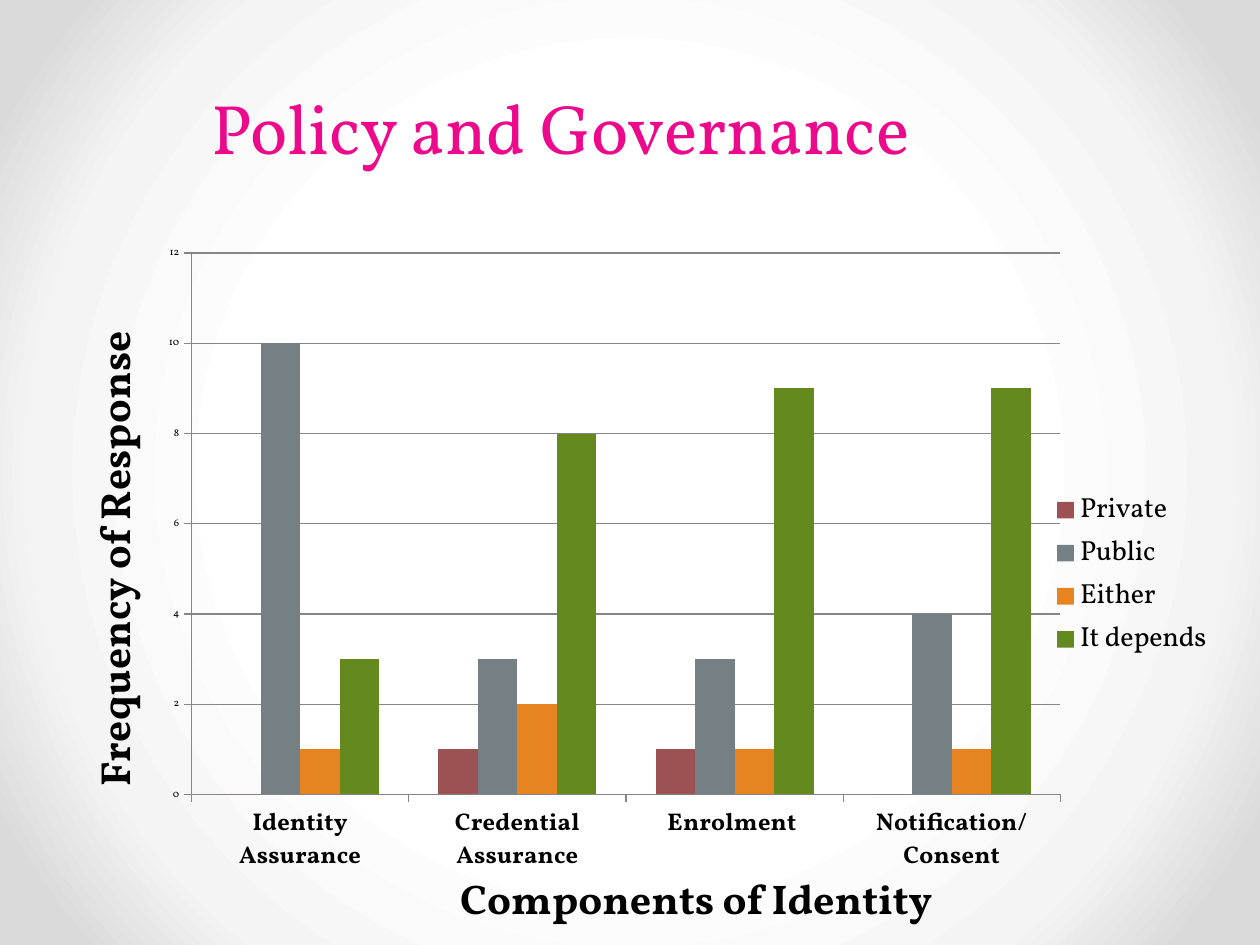
from lxml import etree
from pptx import Presentation
from pptx.chart.data import CategoryChartData
from pptx.dml.color import RGBColor
from pptx.enum.chart import XL_CHART_TYPE, XL_LEGEND_POSITION, XL_TICK_MARK
from pptx.enum.text import MSO_ANCHOR, MSO_AUTO_SIZE, PP_ALIGN
from pptx.oxml import parse_xml
from pptx.oxml.ns import nsdecls, qn
from pptx.util import Inches, Pt

COLUMNS = XL_CHART_TYPE.COLUMN_CLUSTERED
LEGEND_RIGHT = XL_LEGEND_POSITION.RIGHT
TICK_OUTSIDE = XL_TICK_MARK.OUTSIDE
TITLE_ONLY_LAYOUT = 5

COLORS = {
    "title": "EC098C",
    "text": "000000",
    "line": "868686",
    "Private": "9C5252",
    "Public ": "758085",
    "Either": "E68422",
    "It depends": "63891F",
}
BACKGROUND_STOPS = [(50, "FFFFFF"), (76, "F4F4F4"), (92, "DADADA")]
CATEGORIES = ["Identity Assurance", "Credential Assurance", "Enrolment ", "Notification/Consent"]
RESPONSES = {
    "Private": (0, 1, 1, 0),
    "Public ": (10, 3, 3, 4),
    "Either": (1, 2, 1, 1),
    "It depends": (3, 8, 9, 9),
}


def color(name):
    return RGBColor.from_string(COLORS[name])


def set_manual_layout(element, index, **fractions):
    """Place a chart part by fractions of the chart area (x, y, w, h)."""
    for old_layout in element.findall(qn("c:layout")):
        element.remove(old_layout)
    layout = parse_xml(f"<c:layout {nsdecls('c')}><c:manualLayout/></c:layout>")
    settings = {"xMode": "edge", "yMode": "edge", **fractions}
    if "w" in fractions:
        settings = {"layoutTarget": "inner", **settings}
    for name, value in settings.items():
        etree.SubElement(layout[0], qn(f"c:{name}")).set("val", str(value))
    element.insert(index, layout)


class SlideBuilder:
    font_name = "Vollkorn"

    def __init__(self, presentation):
        self.slide = presentation.slides.add_slide(presentation.slide_layouts[TITLE_ONLY_LAYOUT])

    def style_font(self, font, size, bold=False, color_name="text"):
        font.name = self.font_name
        font.size = Pt(size)
        font.bold = bold
        font.color.rgb = color(color_name)

    def set_background(self, stops):
        self.slide.background.fill.gradient()
        gradient = self.slide.element.find(f".//{qn('a:gradFill')}")
        for child in list(gradient):
            gradient.remove(child)
        stop_list = etree.SubElement(gradient, qn("a:gsLst"))
        for position, hex_color in stops:
            stop = etree.SubElement(stop_list, qn("a:gs"), pos=str(position * 1000))
            etree.SubElement(stop, qn("a:srgbClr"), val=hex_color)
        circle = etree.SubElement(gradient, qn("a:path"), path="circle")
        center = {side: "50000" for side in "ltrb"}
        etree.SubElement(circle, qn("a:fillToRect"), **center)

    def add_title(self, text, left, top, width, height):
        title = self.slide.shapes.title
        title.left, title.top, title.width, title.height = left, top, width, height
        frame = title.text_frame
        frame.word_wrap = True
        frame.auto_size = MSO_AUTO_SIZE.SHAPE_TO_FIT_TEXT
        frame.vertical_anchor = MSO_ANCHOR.TOP
        paragraph = frame.paragraphs[0]
        paragraph.alignment = PP_ALIGN.LEFT
        run = paragraph.add_run()
        run.text = text
        self.style_font(run.font, 40, color_name="title")

    def format_axis(self, axis, title, size, bold, x, y, rotation=0):
        axis.major_tick_mark = TICK_OUTSIDE
        axis.format.line.color.rgb = color("line")
        axis.format.line.width = Pt(0.75)
        self.style_font(axis.tick_labels.font, size, bold)
        frame = axis.axis_title.text_frame
        run = frame.paragraphs[0].add_run()
        run.text = title
        self.style_font(run.font, 24, bold=True)
        body = axis.axis_title.element if hasattr(axis.axis_title, "element") else axis.axis_title._element
        body_properties = body.find(f".//{qn('a:bodyPr')}")
        body_properties.set("rot", str(rotation * 60000))
        body_properties.set("vert", "horz")
        set_manual_layout(body, 1, x=x, y=y)

    def add_column_chart(self, categories, responses, left, top, width, height):
        data = CategoryChartData()
        data.categories = categories
        for name, values in responses.items():
            data.add_series(name, values)
        chart = self.slide.shapes.add_chart(COLUMNS, left, top, width, height, data).chart
        chart.has_title = False
        self.style_font(chart.font, 10)

        plot = chart.plots[0]
        plot.gap_width = 150
        plot.overlap = 0
        plot.vary_by_categories = False
        for series in plot.series:
            series.format.fill.solid()
            series.format.fill.fore_color.rgb = color(series.name)

        self.format_axis(chart.category_axis, "Components of Identity ", 14, True, x=0.36, y=0.9)
        value_axis = chart.value_axis
        self.format_axis(value_axis, "Frequency of Response", 6, False, x=0.05, y=0.16, rotation=-90)
        value_axis.minimum_scale, value_axis.maximum_scale, value_axis.major_unit = 0, 12, 2
        value_axis.has_major_gridlines = True
        gridline = value_axis.major_gridlines.format.line
        gridline.color.rgb = color("line")
        gridline.width = Pt(0.75)

        chart.has_legend = True
        chart.legend.position = LEGEND_RIGHT
        chart.legend.include_in_layout = False
        self.style_font(chart.legend.font, 16)

        plot_area = chart.element.find(f".//{qn('c:plotArea')}") if hasattr(chart, "element") \
            else chart._chartSpace.find(f".//{qn('c:plotArea')}")
        set_manual_layout(plot_area, 0, x=0.144, y=0.054, w=0.719, h=0.751)


def main():
    presentation = Presentation()
    presentation.slide_width = Inches(10)
    presentation.slide_height = Inches(7.5)
    builder = SlideBuilder(presentation)
    builder.set_background(BACKGROUND_STOPS)
    builder.add_column_chart(CATEGORIES, RESPONSES, Inches(0.14), Inches(1.7), Inches(9.59), Inches(5.8))
    builder.add_title("Policy and Governance", Inches(1.58), Inches(0.62), Inches(7.94), Inches(0.77))
    presentation.save("out.pptx")


if __name__ == "__main__":
    main()
